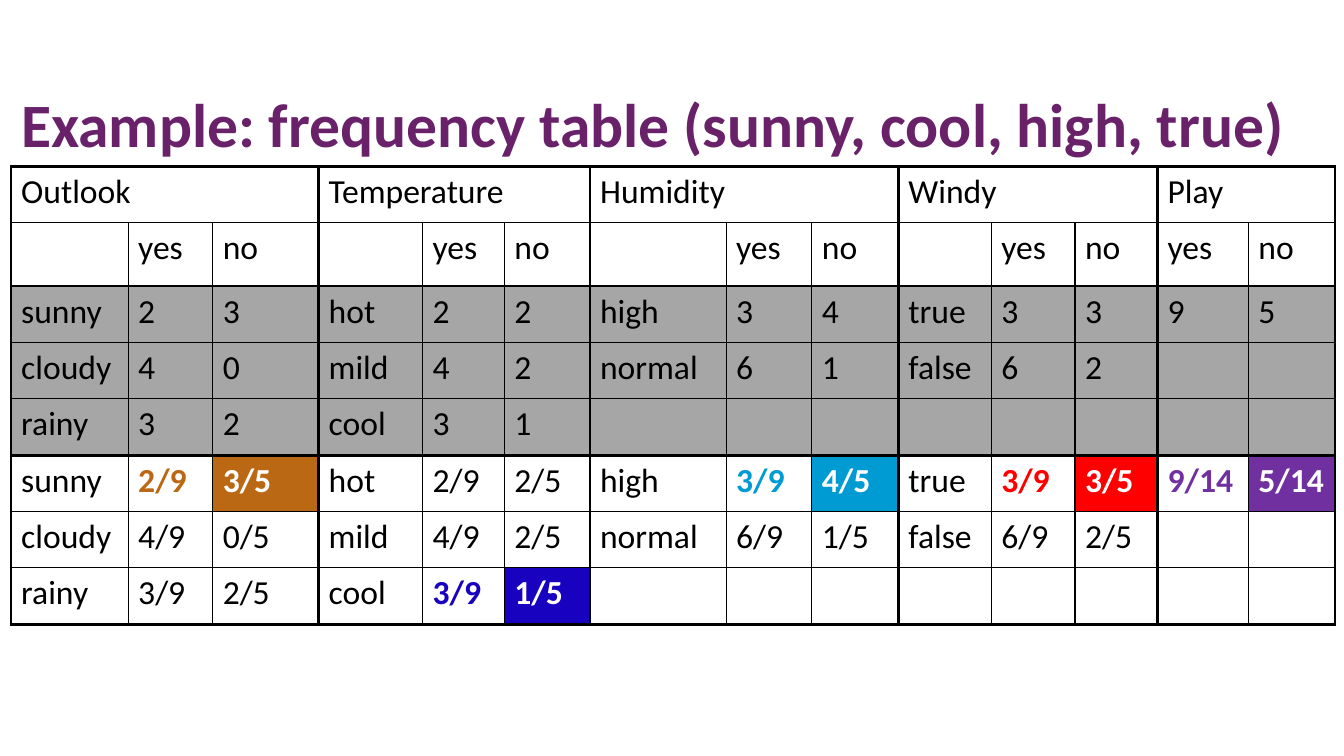
from lxml import etree
from pptx import Presentation
from pptx.dml.color import RGBColor
from pptx.enum.text import MSO_ANCHOR, MSO_AUTO_SIZE, PP_ALIGN
from pptx.oxml import parse_xml
from pptx.oxml.ns import nsdecls, qn
from pptx.util import Cm, Pt

TOP = MSO_ANCHOR.TOP
NO_AUTOFIT = MSO_AUTO_SIZE.NONE
LEFT = PP_ALIGN.LEFT

COLORS = {
    "text": "000000",
    "white": "FFFFFF",
    "title": "69216A",
    "counts": "A6A6A6",
    "outlook": "BB6814",
    "temperature": "1801BF",
    "humidity": "009BD2",
    "windy": "FF0000",
    "play": "7030A0",
}

FREQUENCIES = [line.split("|") for line in (
    "Outlook|||Temperature|||Humidity|||Windy|||Play|",
    "|yes|no||yes|no||yes|no||yes|no|yes|no",
    "sunny|2|3|hot|2|2|high|3|4|true|3|3|9|5",
    "cloudy|4|0|mild|4|2|normal|6|1|false|6|2||",
    "rainy|3|2|cool|3|1||||||||",
    "sunny|2/9|3/5|hot|2/9|2/5|high|3/9|4/5|true|3/9|3/5|9/14|5/14",
    "cloudy|4/9|0/5|mild|4/9|2/5|normal|6/9|1/5|false|6/9|2/5||",
    "rainy|3/9|2/5|cool|3/9|1/5||||||||",
)]
COLUMN_WIDTHS = [2.95, 2.13, 2.67, 2.62, 2.06, 2.16, 3.43,
                 2.16, 2.18, 2.34, 2.11, 2.08, 2.29, 2.18]
ROW_HEIGHTS = [1.42, 1.6] + [1.42] * 6
GROUP_EDGES = [0, 3, 6, 9, 12, 14]
SECTION_EDGES = [0, 2, 5, 8]
COUNT_ROWS = range(2, 5)
YES_LIKELIHOODS = {(5, 1): "outlook", (7, 4): "temperature", (5, 7): "humidity",
                   (5, 10): "windy", (5, 12): "play"}


class FrequencySlide:
    """Holds the style and the slide that shows the frequency table."""

    font_name = "Calibri"
    thin, thick = 1, 2.25

    def __init__(self, presentation):
        self.slide = presentation.slides.add_slide(presentation.slide_layouts[5])

    def style(self, paragraph, size, color, bold=False):
        paragraph.font.name = self.font_name
        paragraph.font.size = Pt(size)
        paragraph.font.bold = bold
        paragraph.font.color.rgb = RGBColor.from_string(COLORS[color])
        paragraph.alignment = LEFT

    def title(self, wording, left, top, width, height):
        heading = self.slide.shapes.title
        heading.left, heading.top = Cm(left), Cm(top)
        heading.width, heading.height = Cm(width), Cm(height)
        frame = heading.text_frame
        frame.text = wording
        frame.word_wrap = True
        frame.auto_size = NO_AUTOFIT
        frame.vertical_anchor = TOP
        frame.paragraphs[0].line_spacing = 0.9
        self.style(frame.paragraphs[0], 44, "title", bold=True)
        self.slide.shapes._spTree.append(heading._element)

    def borders(self, cell, row, column):
        sides = {
            "L": row == 0 or column in GROUP_EDGES,
            "R": row == 0 or column + 1 in GROUP_EDGES,
            "T": row in SECTION_EDGES,
            "B": row + 1 in SECTION_EDGES,
        }
        properties = cell._tc.get_or_add_tcPr()
        for side, heavy in sides.items():
            width = Pt(self.thick if heavy else self.thin)
            properties.append(parse_xml(
                f'<a:ln{side} {nsdecls("a")} w="{width}"><a:solidFill>'
                f'<a:srgbClr val="{COLORS["text"]}"/></a:solidFill></a:ln{side}>'))

    def cell(self, cell, row, column):
        yes_color = YES_LIKELIHOODS.get((row, column))
        no_color = YES_LIKELIHOODS.get((row, column - 1))
        cell.text = FREQUENCIES[row][column]
        paragraph = cell.text_frame.paragraphs[0]
        color = "white" if no_color else yes_color or "text"
        self.style(paragraph, 24, color, bold=bool(yes_color or no_color))
        spacing = etree.Element(qn("a:spcBef"))
        etree.SubElement(spacing, qn("a:spcPct"), val="20000")
        paragraph._p.get_or_add_pPr().insert(0, spacing)
        self.borders(cell, row, column)
        fill = "counts" if row in COUNT_ROWS else no_color
        if fill:
            cell.fill.solid()
            cell.fill.fore_color.rgb = RGBColor.from_string(COLORS[fill])
        else:
            cell.fill.background()

    def table(self, left, top):
        table = self.slide.shapes.add_table(
            len(ROW_HEIGHTS), len(COLUMN_WIDTHS), Cm(left), Cm(top),
            Cm(sum(COLUMN_WIDTHS)), Cm(sum(ROW_HEIGHTS))).table
        table.first_row = table.horz_banding = False
        for column, width in zip(table.columns, COLUMN_WIDTHS):
            column.width = Cm(width)
        for row, height in zip(table.rows, ROW_HEIGHTS):
            row.height = Cm(height)
        for row in range(len(ROW_HEIGHTS)):
            for column in range(len(COLUMN_WIDTHS)):
                self.cell(table.cell(row, column), row, column)
        for start, end in zip(GROUP_EDGES, GROUP_EDGES[1:]):
            table.cell(0, start).merge(table.cell(0, end - 1))


def main():
    presentation = Presentation()
    presentation.slide_width, presentation.slide_height = Cm(33.87), Cm(19.05)
    slide = FrequencySlide(presentation)
    slide.table(0.28, 4.19)
    slide.title("Example: frequency table (sunny, cool, high, true)",
                0.28, 2.26, 32.59, 4.06)
    presentation.save("out.pptx")


if __name__ == "__main__":
    main()
